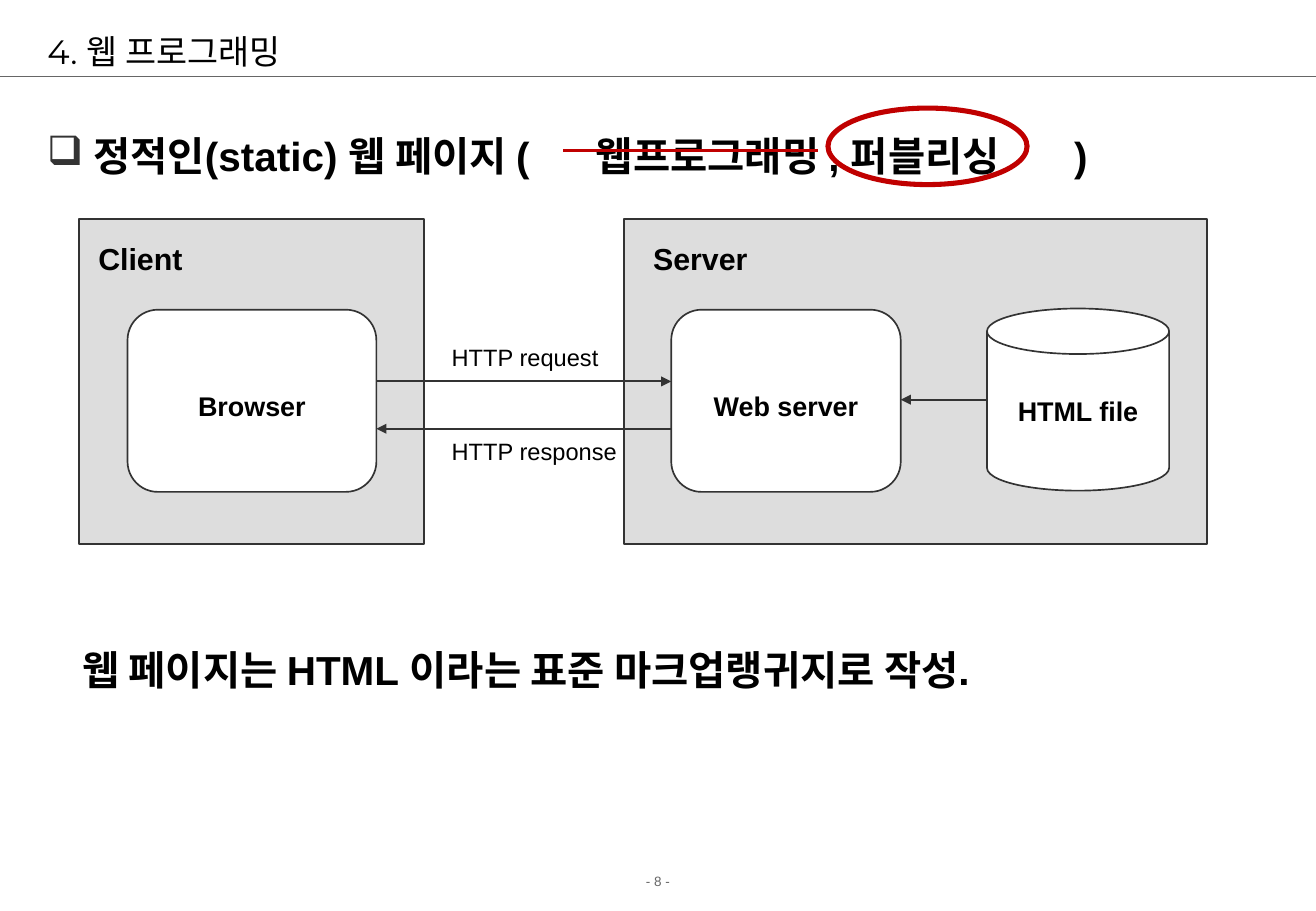
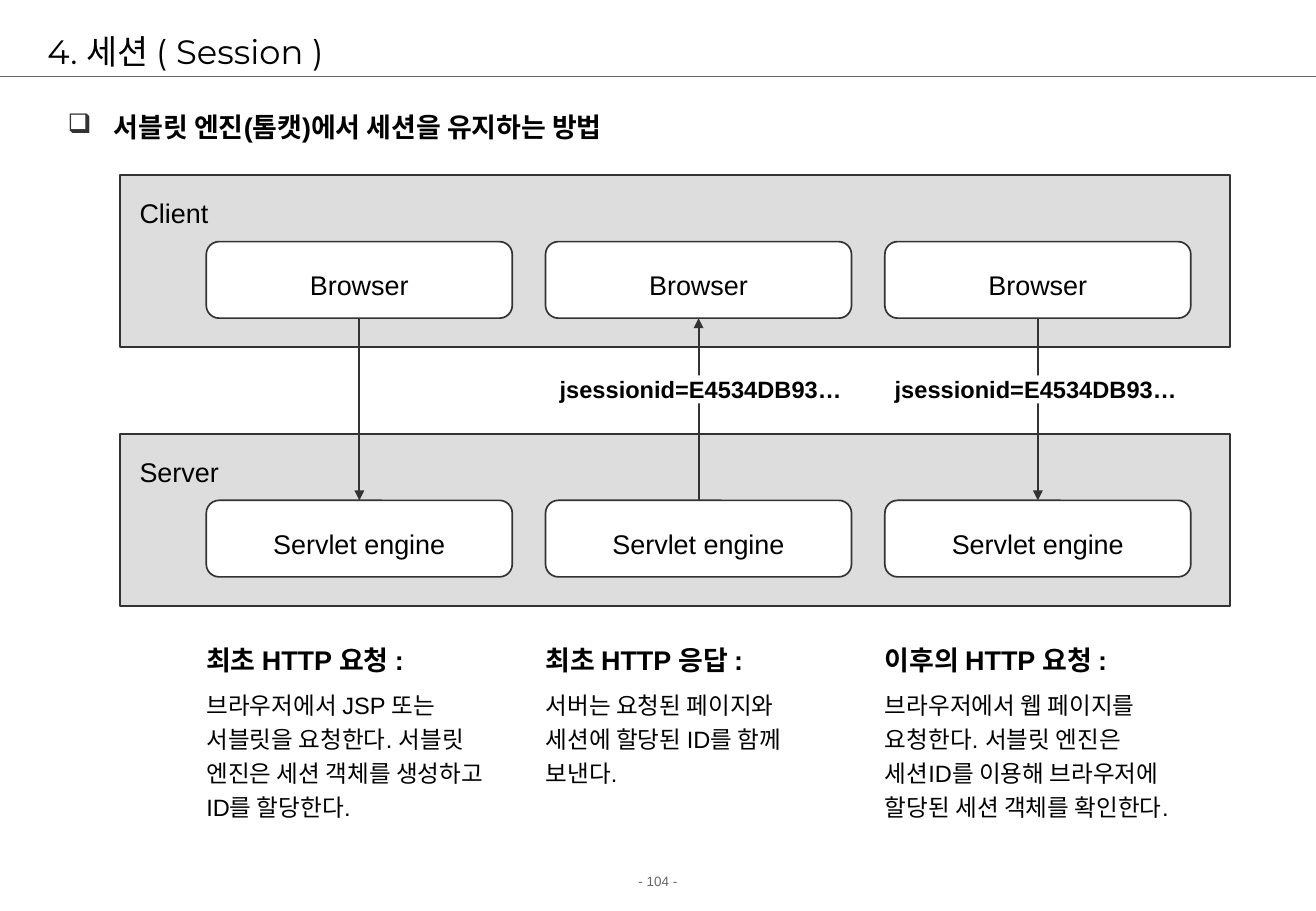
from dataclasses import dataclass
from typing import NamedTuple, Optional

from lxml.etree import SubElement as Sub
from pptx import Presentation
from pptx.dml.color import RGBColor as Rgb
from pptx.enum.shapes import MSO_CONNECTOR as Conn, MSO_SHAPE as Kind
from pptx.enum.text import MSO_ANCHOR as Anchor, MSO_AUTO_SIZE as Fit, PP_ALIGN as Align
from pptx.oxml.ns import qn
from pptx.util import Inches, Pt

WIDE, HIGH = Inches(10.84), Inches(7.5)


@dataclass(frozen=True)
class Theme:
    """Colours, fonts, type sizes and line widths."""
    ink: str = "000000"
    dark: str = "333333"
    grey: str = "666666"
    panel: str = "DDDDDD"
    white: str = "FFFFFF"
    red: str = "C00000"
    body: str = "Arial"
    head: str = "Montserrat"
    title: int = 20
    lead: int = 24
    large: int = 18
    text: int = 16
    small: int = 14
    foot: int = 8
    edge: float = 1.25
    thin: float = 1
    hair: float = 0.75


T = Theme()


class Box(NamedTuple):
    """A place and size in percent of the slide."""
    x: float
    y: float
    w: float
    h: float


class Node(NamedTuple):
    """A white shape with a centred label."""
    text: str
    box: Box
    kind: Kind = Kind.ROUNDED_RECTANGLE
    lead: float = 1.3


class Arrow(NamedTuple):
    """A line with a head at its end, in percent of the slide."""
    x1: float
    y1: float
    x2: float
    y2: float


class Step(NamedTuple):
    """One column of the session chart."""
    head: str
    note: str
    up: bool = False


STEPS = (
    Step("최초 HTTP 요청 :",
         "브라우저에서 JSP 또는\n서블릿을 요청한다. 서블릿 엔진은 세션 객체를 생성하고 ID를 할당한다."),
    Step("최초 HTTP 응답 :", "서버는 요청된 페이지와\n세션에 할당된 ID를 함께\n보낸다.", True),
    Step("이후의 HTTP 요청 :",
         "브라우저에서 웹 페이지를\n요청한다. 서블릿 엔진은\n세션ID를 이용해 브라우저에 할당된 세션 객체를 확인한다."),
)


def px(part: float) -> int:
    """Turn a percentage of the width into a length."""
    return round(WIDE * part / 100)


def py(part: float) -> int:
    """Turn a percentage of the height into a length."""
    return round(HIGH * part / 100)


def area(box: Box) -> tuple:
    """Give the lengths of a box."""
    return px(box.x), py(box.y), px(box.w), py(box.h)


def style(para, size: int, bold: bool = False, color: str = T.ink, face: str = T.body) -> None:
    """Format the runs of a paragraph."""
    for run in para.runs:
        font = run.font
        font.size, font.bold, font.name = Pt(size), bold, face
        font.color.rgb = Rgb.from_string(color)


def inset(frame, side: float = 0, top: float = 0) -> None:
    """Set the margins of a text frame in inches."""
    frame.margin_left = frame.margin_right = Inches(side)
    frame.margin_top = frame.margin_bottom = Inches(top)


def write(slide, box: Box, text: str, size: int, bold: bool = False, color: str = T.ink,
          fill: Optional[str] = None):
    """Add a text box and return it."""
    shape = slide.shapes.add_textbox(*area(box))
    frame = shape.text_frame
    frame.word_wrap = True
    inset(frame)
    frame.text = text
    style(frame.paragraphs[0], size, bold, color)
    if fill:
        shape.fill.solid()
        shape.fill.fore_color.rgb = Rgb.from_string(fill)
    return shape


def draw(slide, kind: Kind, box: Box, fill: Optional[str], color: str = T.dark,
         width: float = T.edge):
    """Add an outlined shape and return it."""
    shape = slide.shapes.add_shape(kind, *area(box))
    shape.shadow.inherit = False
    if fill:
        shape.fill.solid()
        shape.fill.fore_color.rgb = Rgb.from_string(fill)
    else:
        shape.fill.background()
    shape.line.color.rgb = Rgb.from_string(color)
    shape.line.width = Pt(width)
    return shape


def place(slide, node: Node, bold: bool = False) -> None:
    """Draw a node with its label."""
    frame = draw(slide, node.kind, node.box, T.white, width=T.thin).text_frame
    inset(frame)
    frame.vertical_anchor = Anchor.MIDDLE
    frame.text = node.text
    para = frame.paragraphs[0]
    para.alignment, para.line_spacing = Align.CENTER, node.lead
    style(para, T.text, bold)


def link(slide, way: Arrow, color: str = T.dark, width: float = T.edge, tip: bool = True) -> None:
    """Draw a straight line, with a head if asked."""
    line = slide.shapes.add_connector(
        Conn.STRAIGHT, px(way.x1), py(way.y1), px(way.x2), py(way.y2))
    line.line.color.rgb = Rgb.from_string(color)
    line.line.width = Pt(width)
    if tip:
        Sub(line.line._get_or_add_ln(), qn("a:tailEnd"), type="triangle")
    Sub(line._element.spPr, qn("a:effectLst"))


def lead(slide, box: Box, text: str, size: int, tabs: tuple = ()) -> None:
    """Write a bold heading with a square bullet."""
    frame = write(slide, box, text, size, True).text_frame
    inset(frame, 0.1, 0.05)
    para = frame.paragraphs[0]
    props = para._p.get_or_add_pPr()
    hang = 0 if tabs else Inches(0.38)
    props.set("marL", str(hang))
    props.set("indent", str(-hang))
    Sub(Sub(props, qn("a:buClr")), qn("a:srgbClr"), val=T.dark)
    Sub(props, qn("a:buChar"), char="❑")
    if tabs:
        stops = Sub(props, qn("a:tabLst"))
        for stop in tabs:
            Sub(stops, qn("a:tab"), pos=str(Inches(stop)), algn="l")
    para.line_spacing = 1.5


def start(deck, title: str, page: int):
    """Add a slide with its title, rule and page number."""
    slide = deck.slides.add_slide(deck.slide_layouts[5])
    head = slide.shapes.title
    head.left, head.top, head.width, head.height = area(Box(2.68, 2.8, 93.82, 5.6))
    frame = head.text_frame
    frame.auto_size, frame.vertical_anchor = Fit.NONE, Anchor.MIDDLE
    inset(frame, 0.1, 0.05)
    frame.text = title
    frame.paragraphs[0].alignment = Align.LEFT
    style(frame.paragraphs[0], T.title, face=T.head)
    link(slide, Arrow(0, 8.4, 100, 8.4), T.grey, T.hair, False)
    foot = write(slide, Box(0, 95.2, 100, 3.2), f"- {page} -", T.foot, color=T.grey).text_frame
    inset(foot, 0.1, 0.05)
    foot.paragraphs[0].alignment = Align.CENTER
    return slide


def static(deck) -> None:
    """Build the slide on static web pages."""
    slide = start(deck, "4. 웹 프로그래밍", 8)
    lead(slide, Box(2.68, 11.07, 93.82, 10),
         "\t정적인(static) 웹 페이지 (\t웹프로그래밍 , 퍼블리싱\t)", T.lead, (0.38, 4.52, 8.46))
    last = write(slide, Box(5.35, 67.47, 90, 10),
                 "웹 페이지는 HTML 이라는 표준 마크업랭귀지로 작성.", T.lead, True).text_frame
    inset(last, 0.1, 0.05)
    last.paragraphs[0].line_spacing = 1.5
    for name, x, wide, left in (("Client", 6, 26.2, 7.47), ("Server", 47.42, 44.28, 49.63)):
        draw(slide, Kind.RECTANGLE, Box(x, 24, wide, 35.73), T.panel)
        write(slide, Box(left, 26.4, 16.7, 4), name, T.large, True)
    user = Box(9.69, 34, 18.91, 20)
    host = Box(51.01, 34, 17.44, 20)
    disk = Box(75, 33.87, 13.84, 20)
    for node in (Node("Browser", user), Node("Web server", host),
                 Node("HTML file", disk, Kind.CAN, 1)):
        place(slide, node, True)
    edge = user.x + user.w
    for way in (Arrow(edge, 41.87, host.x, 41.87), Arrow(host.x, 47.07, edge, 47.07),
                Arrow(disk.x, 43.87, host.x + host.w, 43.87)):
        link(slide, way)
    for text, y in (("HTTP request", 37.6), ("HTTP response", 48)):
        write(slide, Box(34.32, y, 13.84, 3.07), text, T.small)
    link(slide, Arrow(42.8, 16.53, 62.18, 16.53), T.red, 2.25, False)
    draw(slide, Kind.OVAL, Box(62.92, 11.87, 15.13, 8.4), None, T.red, 3)


def session(deck) -> None:
    """Build the slide on keeping a session."""
    slide = start(deck, "4. 세션 ( Session )", 104)
    lead(slide, Box(4.24, 9.73, 91.5, 8), "서블릿 엔진(톰캣)에서 세션을 유지하는 방법", T.text)
    left, pitch, wide, tall = 15.68, 25.78, 23.25, 8.4
    rows = (("Client", "Browser", 19.2), ("Server", "Servlet engine", 47.6))
    drop = 7.33
    for name, part, y in rows:
        draw(slide, Kind.RECTANGLE, Box(9.13, y, 84.32, 18.93), T.panel)
        write(slide, Box(10.61, y + 2.4, 16.7, 3.6), name, T.text)
        for col in range(len(STEPS)):
            place(slide, Node(part, Box(left + col * pitch, y + drop, wide, tall)))
    top, base = rows[0][2] + drop + tall, rows[1][2] + drop
    for col, step in enumerate(STEPS):
        x = left + col * pitch
        mid = x + wide / 2
        ends = (base, top) if step.up else (top, base)
        link(slide, Arrow(mid, ends[0], mid, ends[1]))
        frame = write(slide, Box(x, 70.67, wide, 19.5), step.head, T.text, True).text_frame
        note = frame.add_paragraph()
        note.text = step.note
        note.line_spacing, note.space_before = 1.2, Pt(5.2)
        style(note, T.small)
    for x in (42.53, 67.99):
        write(slide, Box(x, 41.2, wide, 3.07), "jsessionid=E4534DB93…", T.small, True,
              fill=T.white)


def main() -> None:
    """Build and save the deck."""
    deck = Presentation()
    deck.slide_width, deck.slide_height = WIDE, HIGH
    static(deck)
    session(deck)
    deck.save("out.pptx")


if __name__ == "__main__":
    main()
